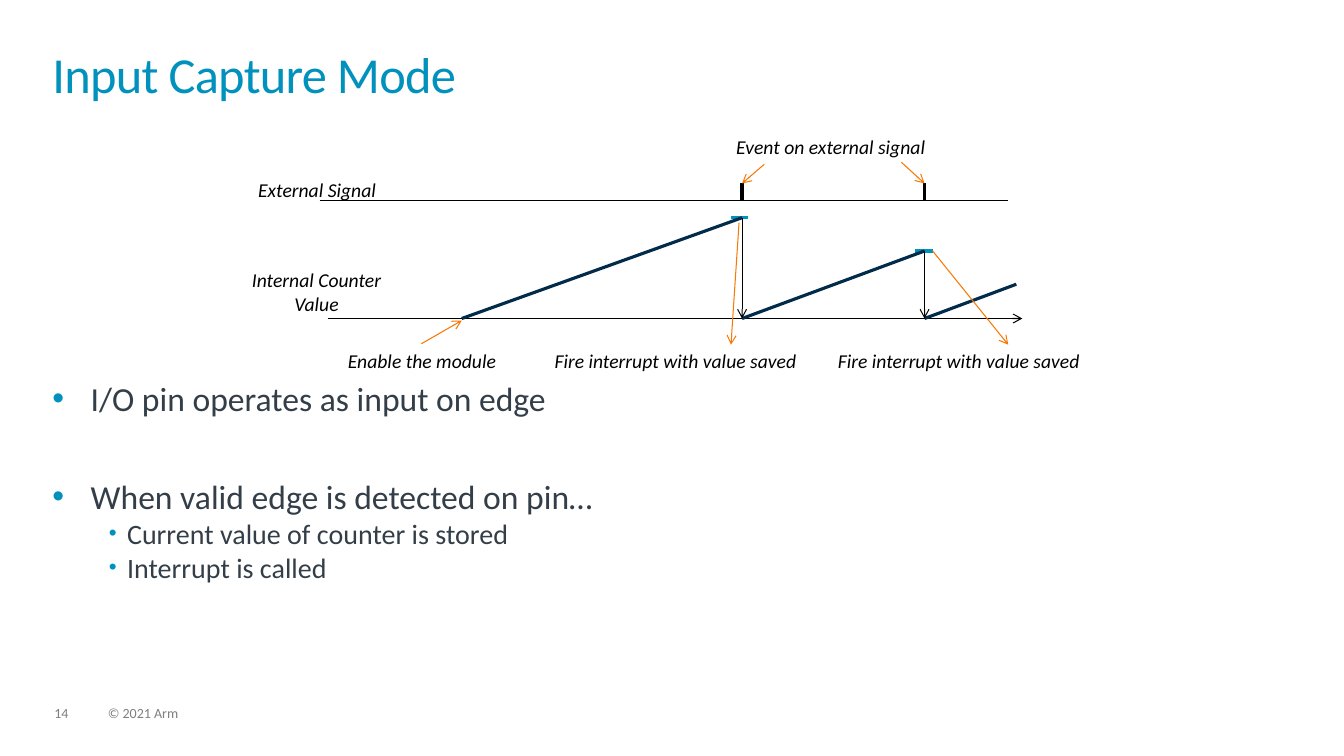
from dataclasses import dataclass

from lxml.etree import SubElement
from pptx import Presentation
from pptx.dml.color import RGBColor
from pptx.enum.shapes import MSO_CONNECTOR
from pptx.enum.text import MSO_ANCHOR, MSO_AUTO_SIZE, PP_ALIGN
from pptx.oxml.ns import qn
from pptx.slide import Slide
from pptx.text.text import TextFrame, _Paragraph
from pptx.util import Inches, Pt

BLACK = RGBColor(0x00, 0x00, 0x00)
BLUE = RGBColor(0x00, 0x91, 0xBD)
NAVY = RGBColor(0x00, 0x2B, 0x49)
ORANGE = RGBColor(0xF9, 0x78, 0x03)
SLATE = RGBColor(0x33, 0x3E, 0x48)
GREY = RGBColor(0x7F, 0x7F, 0x7F)
FONT = "Calibri"
THIN, THICK = 0.75, 2.25

SIGNAL_Y, PULSE_Y, AXIS_Y = 1.99, 1.82, 3.16
FIRST_X, SECOND_X = 7.36, 9.17
FIRST_PEAK, SECOND_PEAK = 2.16, 2.49
NOTE_Y = 3.41


@dataclass(frozen=True)
class Box:
    left: float
    top: float
    width: float
    height: float


@dataclass(frozen=True)
class Line:
    x1: float
    y1: float
    x2: float
    y2: float
    color: RGBColor = BLACK
    width: float = THIN
    arrow: bool = False


@dataclass(frozen=True)
class Label:
    lines: tuple[str, ...]
    box: Box


@dataclass(frozen=True)
class Bullet:
    text: str
    size: int
    indent: float
    hanging: float
    level: int = 0
    space_before: float = 0
    bullet_percent: int = 100


LINES = [
    Line(3.25, AXIS_Y, 10.14, AXIS_Y, arrow=True),
    Line(7.25, FIRST_PEAK, 7.42, FIRST_PEAK, BLUE, THICK),
    Line(9.08, SECOND_PEAK, 9.25, SECOND_PEAK, BLUE, THICK),
    Line(4.58, AXIS_Y, FIRST_X, FIRST_PEAK, NAVY, THICK),
    Line(3.17, SIGNAL_Y, 10, SIGNAL_Y),
    Line(FIRST_X, SIGNAL_Y, FIRST_X, PULSE_Y, width=THICK),
    Line(SECOND_X, SIGNAL_Y, SECOND_X, PULSE_Y, width=THICK),
    Line(FIRST_X, AXIS_Y, SECOND_X, SECOND_PEAK, NAVY, THICK),
    Line(4.18, NOTE_Y, 4.58, 3.18, ORANGE, arrow=True),
    Line(7.58, 1.63, FIRST_X, PULSE_Y, ORANGE, arrow=True),
    Line(8.94, 1.61, SECOND_X, PULSE_Y, ORANGE, arrow=True),
    Line(SECOND_X, AXIS_Y, 10.08, 2.82, NAVY, THICK),
    Line(SECOND_X, SECOND_PEAK, SECOND_X, AXIS_Y, arrow=True),
    Line(FIRST_X, FIRST_PEAK, FIRST_X, AXIS_Y, arrow=True),
    Line(7.33, 2.21, 7.25, 3.42, ORANGE, arrow=True),
    Line(9.25, SECOND_PEAK, 10, 3.42, ORANGE, arrow=True),
]

LABELS = [
    Label(("External Signal",), Box(2.45, 1.72, 1.39, 0.34)),
    Label(("Internal Counter", "Value"), Box(2.39, 2.61, 1.5, 0.57)),
    Label(("Enable the module",), Box(3.34, NOTE_Y, 1.69, 0.34)),
    Label(("Event on external signal",), Box(7.19, 1.29, 2.1, 0.34)),
    Label(("Fire interrupt with value saved",), Box(5.39, NOTE_Y, 2.62, 0.34)),
    Label(("Fire interrupt with value saved",), Box(8.2, NOTE_Y, 2.62, 0.34)),
]

BULLETS = [
    Bullet("I/O pin operates as input on edge", 24, 0.38, 0.38),
    Bullet("When valid edge is detected on pin…", 24, 0.38, 0.38, space_before=41.3),
    Bullet("Current value of counter is stored", 20, 0.74, 0.18, 1, bullet_percent=80),
    Bullet("Interrupt is called", 20, 0.74, 0.18, 1, bullet_percent=80),
]


def add_frame(slide: Slide, box: Box, margins: bool = False, wrap: bool = True) -> TextFrame:
    shape = slide.shapes.add_textbox(
        Inches(box.left), Inches(box.top), Inches(box.width), Inches(box.height)
    )
    frame = shape.text_frame
    frame.word_wrap = wrap
    frame.vertical_anchor = MSO_ANCHOR.TOP
    if not margins:
        frame.margin_left = frame.margin_right = 0
        frame.margin_top = frame.margin_bottom = 0
    return frame


def set_font(paragraph: _Paragraph, size: int, color: RGBColor, italic: bool = False) -> None:
    font = paragraph.font
    font.name = FONT
    font.size = Pt(size)
    font.color.rgb = color
    font.italic = italic


def add_text(
    slide: Slide, text: str, box: Box, size: int, color: RGBColor, spacing: float
) -> _Paragraph:
    paragraph = add_frame(slide, box).paragraphs[0]
    paragraph.text = text
    paragraph.line_spacing = spacing
    set_font(paragraph, size, color)
    return paragraph


def add_line(slide: Slide, line: Line) -> None:
    connector = slide.shapes.add_connector(
        MSO_CONNECTOR.STRAIGHT,
        Inches(line.x1), Inches(line.y1), Inches(line.x2), Inches(line.y2),
    )
    connector.line.color.rgb = line.color
    connector.line.width = Pt(line.width)
    properties = connector._element.spPr
    if line.arrow:
        SubElement(properties.find(qn("a:ln")), qn("a:tailEnd"), type="arrow")
    SubElement(properties, qn("a:effectLst"))


def add_label(slide: Slide, label: Label) -> None:
    frame = add_frame(slide, label.box, margins=True, wrap=False)
    frame.auto_size = MSO_AUTO_SIZE.SHAPE_TO_FIT_TEXT
    frame.text = "\n".join(label.lines)
    for paragraph in frame.paragraphs:
        paragraph.alignment = PP_ALIGN.CENTER
        set_font(paragraph, 14, BLACK, italic=True)


def add_bullets(slide: Slide, bullets: list[Bullet], box: Box) -> None:
    frame = add_frame(slide, box)
    frame.text = "\n".join(bullet.text for bullet in bullets)
    for paragraph, bullet in zip(frame.paragraphs, bullets):
        paragraph.level = bullet.level
        properties = paragraph._p.get_or_add_pPr()
        properties.set("marL", str(Inches(bullet.indent)))
        properties.set("indent", str(-Inches(bullet.hanging)))
        bullet_color = SubElement(properties, qn("a:buClr"))
        SubElement(bullet_color, qn("a:srgbClr"), val=str(BLUE))
        SubElement(properties, qn("a:buSzPct"), val=str(bullet.bullet_percent * 1000))
        SubElement(properties, qn("a:buFont"), typeface="Arial")
        SubElement(properties, qn("a:buChar"), char="•")
        paragraph.space_before = Pt(bullet.space_before)
        set_font(paragraph, bullet.size, SLATE)


def main() -> None:
    presentation = Presentation()
    presentation.slide_width = Inches(13.33)
    presentation.slide_height = Inches(7.5)
    slide = presentation.slides.add_slide(presentation.slide_layouts[6])

    add_text(slide, "14", Box(0.54, 7.01, 0.34, 0.15), 10, GREY, 0.9)
    add_text(slide, "© 2021 Arm", Box(1.07, 7.01, 5.07, 0.15), 10, GREY, 0.9)
    title = add_text(
        slide, "Input Capture Mode", Box(0.52, 0.52, 12.28, 0.72), 36, BLUE, 0.85
    )
    title.runs[0]._r.get_or_add_rPr().set("spc", "-50")
    add_bullets(slide, BULLETS, Box(0.52, 3.75, 12.28, 2.94))
    for line in LINES:
        add_line(slide, line)
    for label in LABELS:
        add_label(slide, label)
    presentation.save("out.pptx")


if __name__ == "__main__":
    main()
